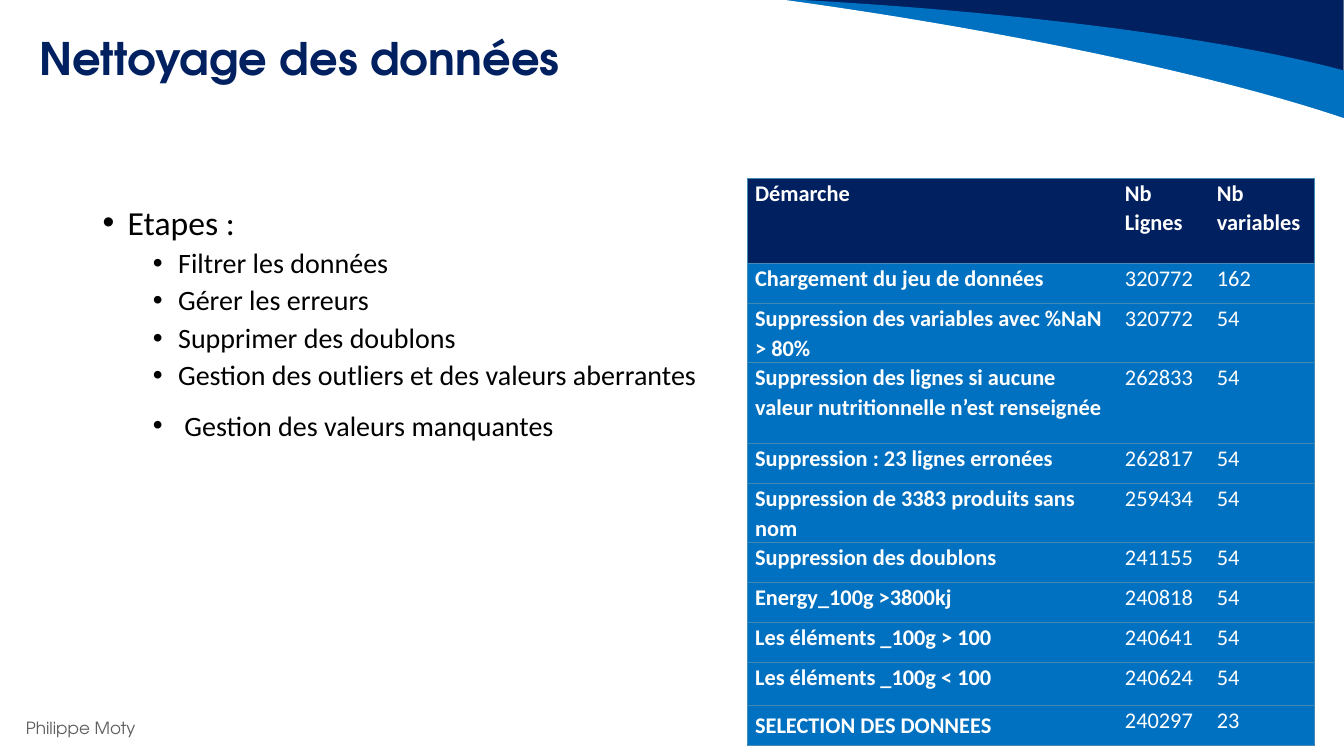
from dataclasses import dataclass

from lxml.etree import SubElement
from pptx import Presentation
from pptx.dml.color import RGBColor
from pptx.enum.shapes import MSO_SHAPE
from pptx.enum.text import MSO_ANCHOR
from pptx.oxml import parse_xml
from pptx.oxml.ns import nsdecls, qn
from pptx.slide import Slide
from pptx.table import _Cell
from pptx.text.text import _Paragraph
from pptx.util import Pt


@dataclass(frozen=True)
class Theme:
    navy: str = "002060"
    blue: str = "0070C0"
    border: str = "418AB3"
    white: str = "FFFFFF"
    black: str = "000000"
    grey: str = "5E5E5E"
    heading_font: str = "TeX Gyre Adventor"
    body_font: str = "Calibri"
    title: int = 32
    lead: int = 24
    item: int = 20
    cell: int = 16
    footer: int = 12


@dataclass(frozen=True)
class Line:
    text: str
    size: int
    color: str
    font: str
    bold: bool = False
    margin: float = 0
    hanging: float = 0
    level: int = 0
    before: float = 0
    spacing: float = 1.0


@dataclass(frozen=True)
class TextBlock:
    left: float
    top: float
    width: float
    height: float
    lines: tuple[Line, ...]


@dataclass(frozen=True)
class Swoosh:
    color: str
    left: float
    top: float
    rotation: float
    width: float = 923
    height: float = 125.3
    kind: MSO_SHAPE = MSO_SHAPE.OVAL


@dataclass(frozen=True)
class Step:
    label: str
    rows: str
    variables: str
    height: float


T = Theme()
WIDTH, HEIGHT = 960, 540

SWOOSHES = (
    Swoosh(T.navy, 605.5, -279.4, 270, 74.9, 633.6, MSO_SHAPE.RIGHT_TRIANGLE),
    Swoosh(T.blue, 109.4, 0, 3.2),
    Swoosh(T.white, 129.6, 5, 8.5),
    Swoosh(T.white, 81.4, 40.3, 8.5),
)


def bullet(text: str, before: float = 5) -> Line:
    return Line(text, T.item, T.black, T.body_font, margin=54, hanging=18,
                level=1, before=before, spacing=0.9)


BLOCKS = (
    TextBlock(11.5, 509, 188, 21.6, (
        Line("Philippe Moty", T.footer, T.grey, T.heading_font),)),
    TextBlock(20.9, 23, 872.6, 104.4, (
        Line("Nettoyage des données", T.title, T.navy, T.heading_font,
             bold=True, spacing=0.9),)),
    TextBlock(66.2, 143.8, 468, 148.3, (
        Line("Etapes :", T.lead, T.black, T.body_font, margin=18, hanging=18, spacing=0.9),
        bullet("Filtrer les données"),
        bullet("Gérer les erreurs"),
        bullet("Supprimer des doublons"),
        bullet("Gestion des outliers et des valeurs aberrantes"))),
    TextBlock(66.2, 288.2, 468, 31.7, (
        Line("Gestion des valeurs manquantes", T.item, T.black, T.body_font,
             margin=58.5, hanging=22.5, level=1),)),
)

TABLE_LEFT, TABLE_TOP = 534, 127.4
COLUMNS = (264.2, 65.7, 74.9)
SINGLE, DOUBLE = 28.6, 42.1
STEPS = (
    Step("Démarche", "Nb Lignes", "Nb variables", 60.9),
    Step("Chargement du jeu de données", "320772", "162", SINGLE),
    Step("Suppression des variables avec %NaN > 80%", "320772", "54", DOUBLE),
    Step("Suppression des lignes si aucune valeur nutritionnelle n’est renseignée",
         "262833", "54", 58),
    Step("Suppression : 23 lignes erronées", "262817", "54", SINGLE),
    Step("Suppression de 3383 produits sans nom", "259434", "54", DOUBLE),
    Step("Suppression des doublons", "241155", "54", SINGLE),
    Step("Energy_100g >3800kj", "240818", "54", SINGLE),
    Step("Les éléments _100g > 100", "240641", "54", SINGLE),
    Step("Les éléments _100g < 100", "240624", "54", 30.2),
    Step("SELECTION DES DONNEES", "240297", "23", SINGLE),
)


def rgb(value: str) -> RGBColor:
    return RGBColor.from_string(value)


def add_swoosh(s: Slide, swoosh: Swoosh) -> None:
    sp = s.shapes.add_shape(swoosh.kind, Pt(swoosh.left), Pt(swoosh.top),
                            Pt(swoosh.width), Pt(swoosh.height))
    sp.rotation = swoosh.rotation
    sp._element.spPr.find(qn("a:xfrm")).set("flipH", "1")
    sp.shadow.inherit = False
    sp.fill.solid()
    sp.fill.fore_color.rgb = rgb(swoosh.color)
    sp.line.fill.background()


def format_runs(p: _Paragraph, size: int, color: str, font: str, bold: bool) -> None:
    for r in p.runs:
        r.font.size = Pt(size)
        r.font.color.rgb = rgb(color)
        r.font.name = font
        r.font.bold = bold


def write_line(p: _Paragraph, line: Line) -> None:
    p.text = line.text
    p.level = line.level
    p.line_spacing = line.spacing
    p.space_before = Pt(line.before)
    if line.hanging:
        pPr = p._p.get_or_add_pPr()
        pPr.set("marL", str(Pt(line.margin)))
        pPr.set("indent", str(-Pt(line.hanging)))
        SubElement(pPr, qn("a:buFont"), typeface="Arial")
        SubElement(pPr, qn("a:buChar"), char="•")
    format_runs(p, line.size, line.color, line.font, line.bold)


def add_text(s: Slide, block: TextBlock) -> None:
    sp = s.shapes.add_textbox(Pt(block.left), Pt(block.top), Pt(block.width), Pt(block.height))
    tf = sp.text_frame
    tf.word_wrap = True
    for i, line in enumerate(block.lines):
        write_line(tf.add_paragraph() if i else tf.paragraphs[0], line)


def set_borders(cell: _Cell, sides: str) -> None:
    tcPr = cell._tc.get_or_add_tcPr()
    for i, side in enumerate("LRTB"):
        paint = f'<a:solidFill><a:srgbClr val="{T.border}"/></a:solidFill>'
        if side not in sides:
            paint = "<a:noFill/>"
        tcPr.insert(i, parse_xml(
            f'<a:ln{side} {nsdecls("a")} w="{Pt(0.5)}">{paint}</a:ln{side}>'))


def add_steps_table(s: Slide) -> None:
    total = sum(step.height for step in STEPS)
    table = s.shapes.add_table(len(STEPS), len(COLUMNS), Pt(TABLE_LEFT), Pt(TABLE_TOP),
                               Pt(sum(COLUMNS)), Pt(total)).table
    table.horz_banding = False
    for column, width in zip(table.columns, COLUMNS):
        column.width = Pt(width)
    for i, step in enumerate(STEPS):
        table.rows[i].height = Pt(step.height)
        for j, text in enumerate((step.label, step.rows, step.variables)):
            cell = table.cell(i, j)
            cell.margin_left = cell.margin_right = Pt(5.4)
            cell.margin_top = cell.margin_bottom = 0
            cell.fill.solid()
            cell.fill.fore_color.rgb = rgb(T.blue if i else T.navy)
            set_borders(cell, "TB" + {0: "L", 2: "R"}.get(j, ""))
            p = cell.text_frame.paragraphs[0]
            p.text = text
            p.line_spacing = 1.07
            p.space_after = Pt(8)
            format_runs(p, T.cell, T.white, T.body_font, i == 0 or j == 0)
    table.cell(len(STEPS) - 1, 0).vertical_anchor = MSO_ANCHOR.MIDDLE


def main() -> None:
    prs = Presentation()
    prs.slide_width, prs.slide_height = Pt(WIDTH), Pt(HEIGHT)
    s = prs.slides.add_slide(prs.slide_layouts[6])
    for swoosh in SWOOSHES:
        add_swoosh(s, swoosh)
    for block in BLOCKS:
        add_text(s, block)
    add_steps_table(s)
    prs.save("out.pptx")


if __name__ == "__main__":
    main()
